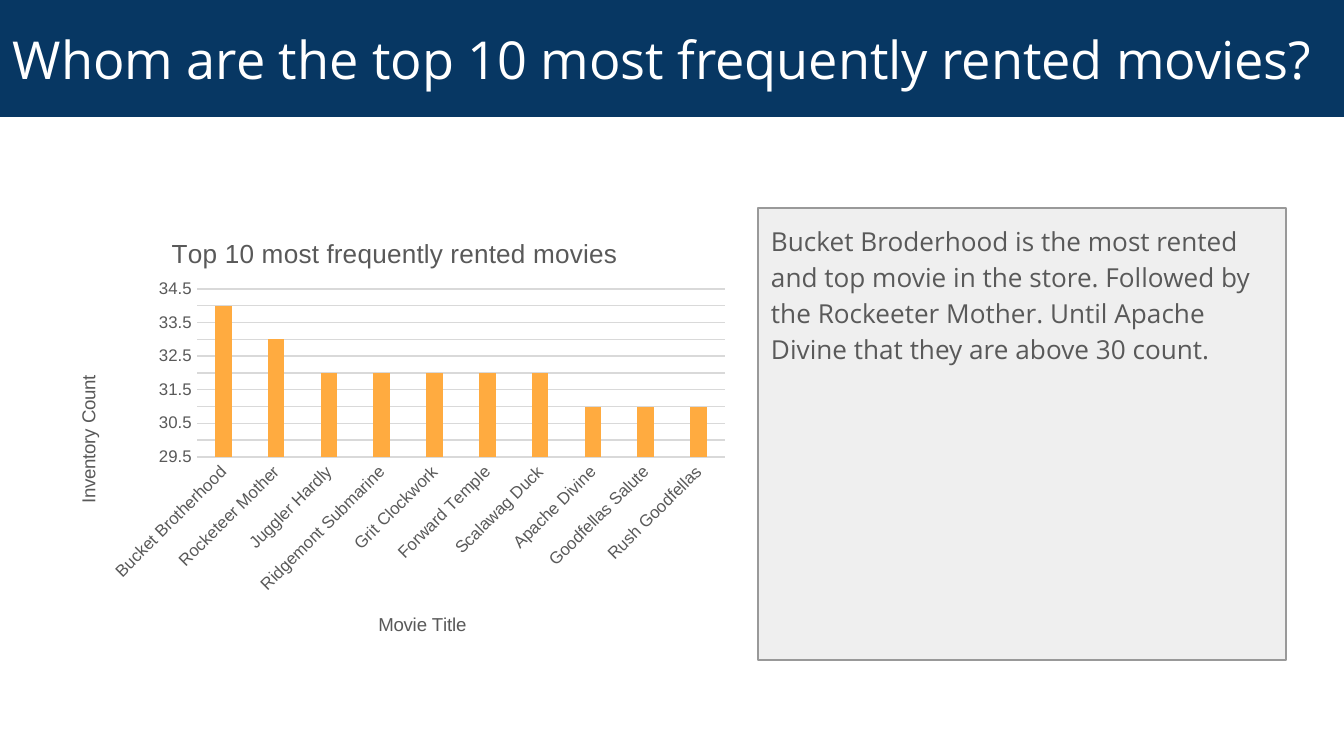
"""Build a slide with a chart of the most rented movies and a comment box."""
from pptx import Presentation
from pptx.chart.data import CategoryChartData
from pptx.dml.color import RGBColor
from pptx.enum.chart import XL_CHART_TYPE, XL_TICK_MARK
from pptx.enum.shapes import MSO_SHAPE
from pptx.enum.text import MSO_ANCHOR, PP_ALIGN
from pptx.oxml import parse_xml
from pptx.oxml.ns import nsdecls, qn
from pptx.util import Pt

COLUMN = XL_CHART_TYPE.COLUMN_CLUSTERED
NO_TICK = XL_TICK_MARK.NONE
RECT = MSO_SHAPE.RECTANGLE
TOP, MIDDLE = MSO_ANCHOR.TOP, MSO_ANCHOR.MIDDLE
LEFT = PP_ALIGN.LEFT

PX = 6804
INSET = 13 * PX
COLORS = {
    "navy": "073763", "white": "FFFFFF", "panel": "EFEFEF", "edge": "999999",
    "text": "595959", "grid": "D9D9D9", "bar": "FFAB40",
}
HUES = {name: RGBColor.from_string(code) for name, code in COLORS.items()}


def write(frame, text, size=10, font="Arial", color="text", bold=False,
          align=None, spacing=None, after=None):
    para = frame.paragraphs[0]
    para.alignment, para.line_spacing, para.space_after = align, spacing, after
    run = para.add_run()
    run.text = text
    run.font.size, run.font.name, run.font.bold = Pt(size), font, bold
    run.font.color.rgb = HUES[color]


def place(node, **spots):
    old = node.find(qn("c:layout"))
    tags = "".join(f'<c:{tag} val="{val}"/>' for tag, val in spots.items())
    new = parse_xml(f'<c:layout {nsdecls("c")}><c:manualLayout>{tags}'
                    '</c:manualLayout></c:layout>')
    if old is None:
        node.insert(0, new)
    else:
        node.replace(old, new)


deck = Presentation()
deck.slide_width, deck.slide_height = 1344 * PX, 756 * PX
slide = deck.slides.add_slide(deck.slide_layouts[6])

boxes = [
    ((758, 208, 528, 452), "panel", "edge", TOP,
     "Bucket Broderhood is the most rented and top movie in the store. "
     "Followed by the Rockeeter Mother. Until Apache Divine that they are "
     "above 30 count.",
     dict(size=14, spacing=1.15, after=Pt(16))),
    ((0, 0, 1344, 117), "navy", None, MIDDLE,
     "Whom are the top 10 most frequently rented movies?",
     dict(size=28, color="white")),
]
for spot, fill, edge, anchor, text, style in boxes:
    box = slide.shapes.add_shape(RECT, *(n * PX for n in spot))
    box.shadow.inherit = False
    box.fill.solid()
    box.fill.fore_color.rgb = HUES[fill]
    if edge:
        box.line.color.rgb = HUES[edge]
        box.line.width = Pt(0.75)
    else:
        box.line.fill.background()
    frame = box.text_frame
    frame.word_wrap = True
    frame.vertical_anchor = anchor
    frame.margin_left = frame.margin_right = INSET
    frame.margin_top = frame.margin_bottom = INSET
    write(frame, text, font="Open Sans", align=LEFT, **style)

rentals = {
    "Bucket Brotherhood": 34, "Rocketeer Mother": 33, "Juggler Hardly": 32,
    "Ridgemont Submarine": 32, "Grit Clockwork": 32, "Forward Temple": 32,
    "Scalawag Duck": 32, "Apache Divine": 31, "Goodfellas Salute": 31,
    "Rush Goodfellas": 31,
}
data = CategoryChartData()
data.categories = list(rentals)
data.add_series("Series 1", list(rentals.values()))
left, top, width, height = 42, 208, 697, 452
chart = slide.shapes.add_chart(
    COLUMN, left * PX, top * PX, width * PX, height * PX, data).chart
chart.has_legend = False
chart.font.name, chart.font.size = "Arial", Pt(10)

plot = chart.plots[0]
plot.gap_width, plot.overlap, plot.vary_by_categories = 219, -27, False
bars = plot.series[0].format.fill
bars.solid()
bars.fore_color.rgb = HUES["bar"]

cats, vals = chart.category_axis, chart.value_axis
for axis in (cats, vals):
    axis.major_tick_mark = axis.minor_tick_mark = NO_TICK
    font = axis.tick_labels.font
    font.name, font.size, font.color.rgb = "Arial", Pt(9), HUES["text"]
vals.minimum_scale, vals.maximum_scale, vals.major_unit = 29.5, 34.5, 0.5
vals.format.line.fill.background()
vals.has_major_gridlines = True
for line in (cats.format.line, vals.major_gridlines.format.line):
    line.color.rgb = HUES["grid"]
    line.width = Pt(0.75)

titles = [
    (chart.chart_title, "Top 10 most frequently rented movies", 14, 167, 232),
    (cats.axis_title, "Movie Title", 10, 375, 609),
    (vals.axis_title, "Inventory Count", 10, 73, 372),
]
for title, text, size, x, y in titles:
    write(title.text_frame, text, size=size)
    place(title.element, xMode="edge", yMode="edge",
          x=(x - left) / width, y=(y - top) / height)

area = chart.element.find(".//" + qn("c:plotArea"))
place(area, layoutTarget="inner", xMode="edge", yMode="edge",
      x=(197 - left) / width, y=(289 - top) / height,
      w=528 / width, h=168 / height)
labels = area.find(qn("c:catAx")).find(qn("c:txPr"))
labels.find(qn("a:bodyPr")).set("rot", "-2700000")
turn = vals.axis_title.element.find(".//" + qn("a:bodyPr"))
turn.set("rot", "-5400000")
turn.set("vert", "horz")

deck.save("out.pptx")
